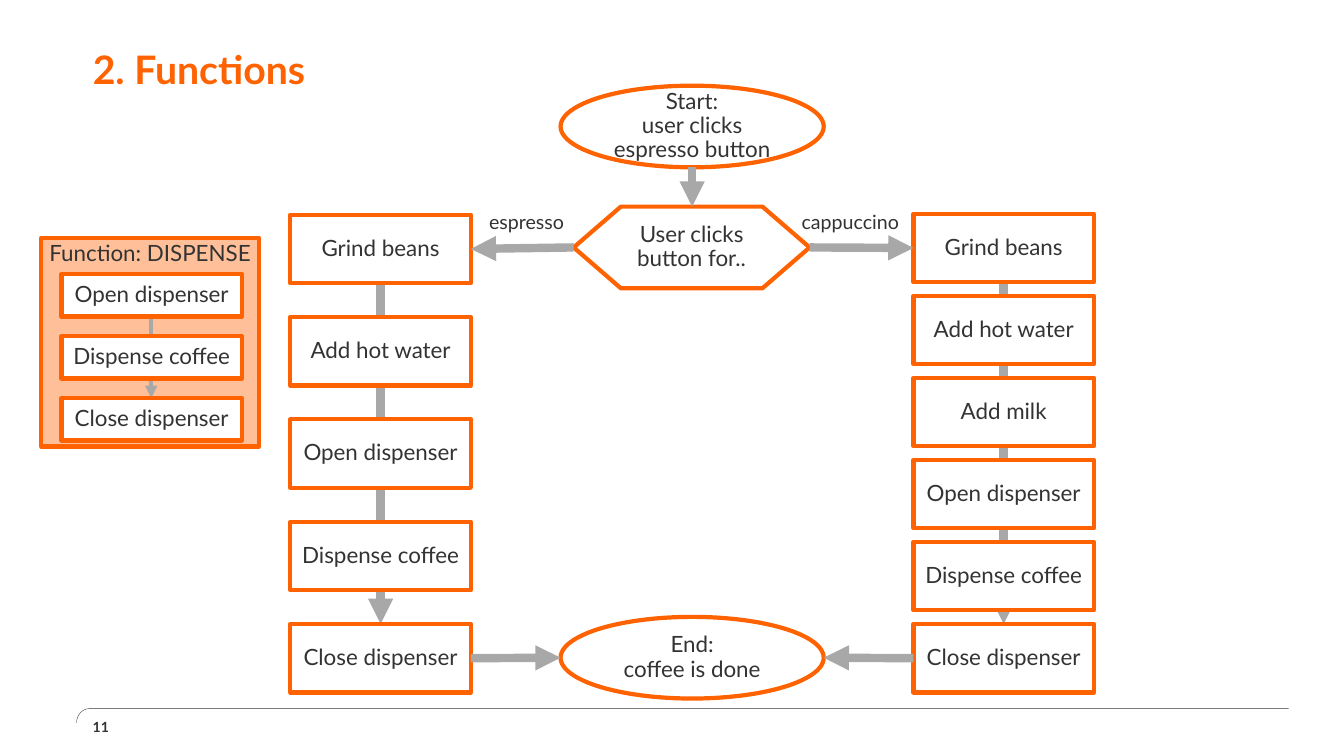
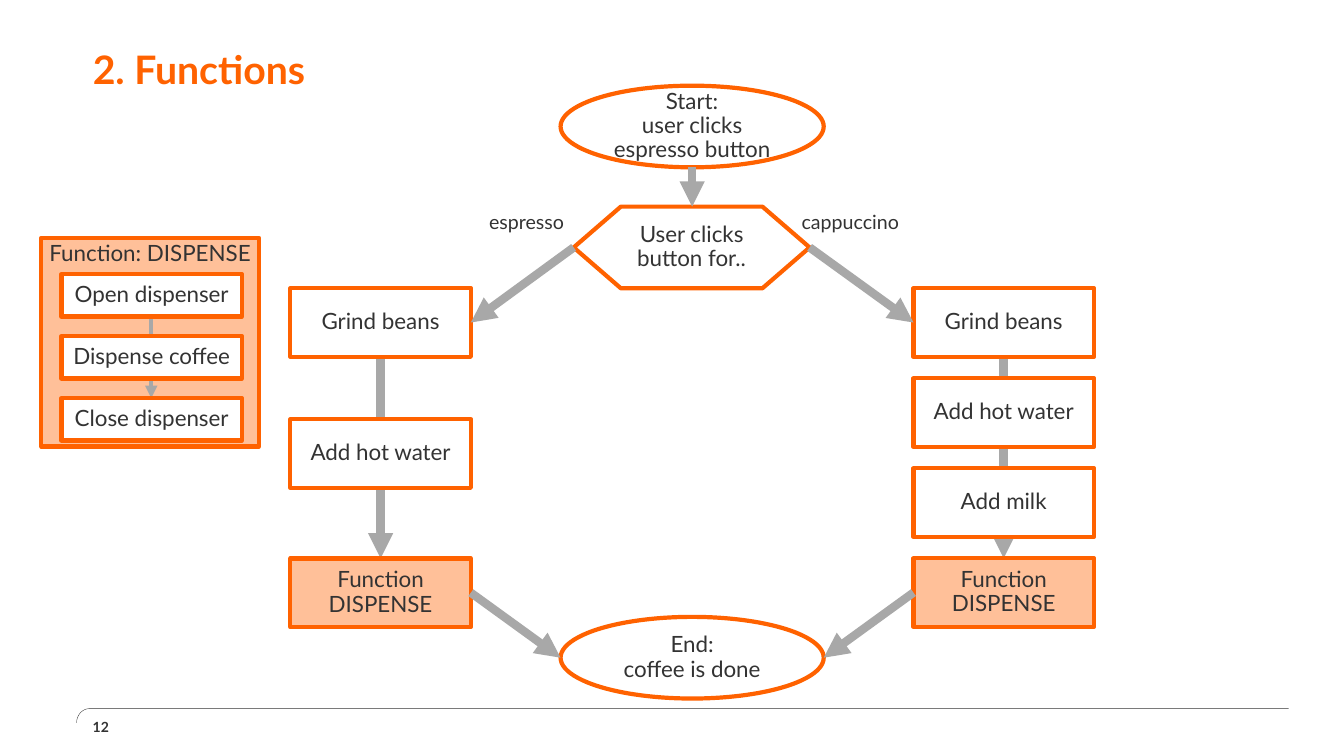
import math

from lxml import etree
from pptx import Presentation
from pptx.dml.color import RGBColor
from pptx.enum.shapes import MSO_CONNECTOR, MSO_SHAPE
from pptx.enum.text import MSO_ANCHOR, PP_ALIGN
from pptx.oxml.ns import qn
from pptx.util import Inches, Pt

RECTANGLE = MSO_SHAPE.RECTANGLE
ELLIPSE = MSO_SHAPE.OVAL
PREPARATION = MSO_SHAPE.FLOWCHART_PREPARATION
STRAIGHT = MSO_CONNECTOR.STRAIGHT
TOP, MIDDLE = MSO_ANCHOR.TOP, MSO_ANCHOR.MIDDLE
CENTER = PP_ALIGN.CENTER

FONT = "Lato"
COLORS = {
    "orange": "FF6200",
    "peach": "FFC099",
    "white": "FFFFFF",
    "text": "333333",
    "arrow": "A8A8A8",
}
RGB = {name: RGBColor.from_string(value) for name, value in COLORS.items()}

# Flowchart geometry, in inches
BOX_WIDTH, BOX_HEIGHT = 1.79, 0.68
LEFT_COLUMN, RIGHT_COLUMN = 2.88, 9.06
OVAL_LEFT, OVAL_WIDTH, OVAL_HEIGHT = 5.56, 2.61, 0.81
START_TOP, END_TOP = 0.85, 6.12
CHOICE_LEFT, CHOICE_TOP, CHOICE_WIDTH = 5.69, 2.05, 2.34
CENTER_X = OVAL_LEFT + OVAL_WIDTH / 2
CHOICE_Y = CHOICE_TOP + OVAL_HEIGHT / 2
END_Y = END_TOP + OVAL_HEIGHT / 2

DISPENSE_STEPS = ["Open dispenser", "Dispense coffee", "Close dispenser"]
CALL = "Function DISPENSE"

# Each slide: its number, then the steps and box tops of both branches
SLIDES = [
    {
        "number": "11",
        "espresso": (["Grind beans", "Add hot water"] + DISPENSE_STEPS,
                     [2.13 + 1.015 * row for row in range(5)]),
        "cappuccino": (["Grind beans", "Add hot water", "Add milk"] + DISPENSE_STEPS,
                       [2.12 + 0.814 * row for row in range(6)]),
    },
    {
        "number": "12",
        "espresso": (["Grind beans", "Add hot water", CALL], [2.86, 4.16, 5.54]),
        "cappuccino": (["Grind beans", "Add hot water", "Add milk", CALL],
                       [2.86 + 0.893 * row for row in range(4)]),
    },
]


def add_box(shapes, kind, left, top, width, height, text, fill="white", anchor=MIDDLE):
    shape = shapes.add_shape(kind, Inches(left), Inches(top), Inches(width), Inches(height))
    shape.shadow.inherit = False
    shape.fill.solid()
    shape.fill.fore_color.rgb = RGB[fill]
    shape.line.color.rgb = RGB["orange"]
    shape.line.width = Pt(3)
    frame = shape.text_frame
    frame.word_wrap = True
    frame.vertical_anchor = anchor
    frame.margin_left = frame.margin_right = Inches(0.04)
    frame.margin_top = frame.margin_bottom = Inches(0.04)
    frame.text = text
    for paragraph in frame.paragraphs:
        paragraph.alignment = CENTER
        paragraph.line_spacing = 0.9
        paragraph.font.name = FONT
        paragraph.font.size = Pt(16)
        paragraph.font.color.rgb = RGB["text"]


def add_arrow(shapes, start_x, start_y, end_x, end_y, width=6):
    arrow = shapes.add_connector(
        STRAIGHT, Inches(start_x), Inches(start_y), Inches(end_x), Inches(end_y))
    arrow.line.color.rgb = RGB["arrow"]
    arrow.line.width = Pt(width)
    etree.SubElement(arrow.line._get_or_add_ln(), qn("a:tailEnd"), type="triangle")
    etree.SubElement(arrow.element.spPr, qn("a:effectLst"))


presentation = Presentation()
presentation.slide_width = Inches(13.33)
presentation.slide_height = Inches(7.5)
title_only = presentation.slide_layouts[5]

for content in SLIDES:
    slide = presentation.slides.add_slide(title_only)
    shapes = slide.shapes

    # Footer rule with a rounded left end
    curve = [(0.89 - 0.13 * math.sin(math.radians(angle)),
              7.17 - 0.14 * math.cos(math.radians(angle))) for angle in range(0, 91, 10)]
    builder = shapes.build_freeform(Inches(12.78), Inches(7.03), scale=1.0)
    builder.add_line_segments([(Inches(x), Inches(y)) for x, y in curve], close=False)
    rule = builder.convert_to_shape()
    rule.shadow.inherit = False
    rule.fill.background()
    rule.line.color.rgb = RGB["text"]
    rule.line.width = Pt(0.25)

    # Title
    title = shapes.title
    title.left, title.top = Inches(0.92), Inches(0.26)
    title.width, title.height = Inches(11.46), Inches(0.93)
    frame = title.text_frame
    frame.text = "2. Functions"
    frame.vertical_anchor = MIDDLE
    frame.margin_left = frame.margin_right = frame.margin_top = frame.margin_bottom = 0
    paragraph = frame.paragraphs[0]
    paragraph.alignment = PP_ALIGN.LEFT
    paragraph.line_spacing = Pt(28)
    paragraph.font.name = FONT
    paragraph.font.size = Pt(28)
    paragraph.font.bold = True
    paragraph.font.color.rgb = RGB["orange"]

    # Branch columns, each with its arrow behind the boxes
    for name, left in (("espresso", LEFT_COLUMN), ("cappuccino", RIGHT_COLUMN)):
        steps, tops = content[name]
        middle = left + BOX_WIDTH / 2
        add_arrow(shapes, middle, tops[0] + BOX_HEIGHT, middle, tops[-1])
        for step, top in zip(steps, tops):
            add_box(shapes, RECTANGLE, left, top, BOX_WIDTH, BOX_HEIGHT, step,
                    "peach" if step == CALL else "white")

    # Start, choice and end
    add_box(shapes, ELLIPSE, OVAL_LEFT, START_TOP, OVAL_WIDTH, OVAL_HEIGHT,
            "Start:\nuser clicks espresso button")
    add_box(shapes, PREPARATION, CHOICE_LEFT, CHOICE_TOP, CHOICE_WIDTH, OVAL_HEIGHT,
            "User clicks button for..")
    add_box(shapes, ELLIPSE, OVAL_LEFT, END_TOP, OVAL_WIDTH, OVAL_HEIGHT,
            "End:\vcoffee is done")
    add_arrow(shapes, CENTER_X, START_TOP + OVAL_HEIGHT, CENTER_X, CHOICE_TOP)

    # Arrows into and out of the branches
    for name, inner_x, choice_x, end_x in (
            ("espresso", LEFT_COLUMN + BOX_WIDTH, CHOICE_LEFT, OVAL_LEFT),
            ("cappuccino", RIGHT_COLUMN, CHOICE_LEFT + CHOICE_WIDTH, OVAL_LEFT + OVAL_WIDTH)):
        tops = content[name][1]
        add_arrow(shapes, choice_x, CHOICE_Y, inner_x, tops[0] + BOX_HEIGHT / 2)
        add_arrow(shapes, inner_x, tops[-1] + BOX_HEIGHT / 2, end_x, END_Y)

    # Branch labels and slide number
    for text, left, top, width, height, size, bold, margin, anchor in (
            ("espresso", 4.81, 2.04, 0.85, 0.32, 14, False, 0.04, TOP),
            ("cappuccino", 7.91, 2.04, 1.08, 0.32, 14, False, 0.04, TOP),
            (content["number"], 0.92, 7.11, 0.54, 0.21, 10, True, 0, MIDDLE)):
        label = shapes.add_textbox(Inches(left), Inches(top), Inches(width), Inches(height))
        frame = label.text_frame
        frame.word_wrap = bold
        frame.vertical_anchor = anchor
        frame.margin_left = frame.margin_right = Inches(margin)
        frame.margin_top = frame.margin_bottom = Inches(margin)
        frame.text = text
        paragraph = frame.paragraphs[0]
        paragraph.font.name = FONT
        paragraph.font.size = Pt(size)
        paragraph.font.bold = bold
        paragraph.font.color.rgb = RGB["text"]

    # Function definition panel
    panel = shapes.add_group_shape().shapes
    add_box(panel, RECTANGLE, 0.41, 2.36, 2.16, 2.07, "Function: DISPENSE", "peach", TOP)
    add_arrow(panel, 1.5, 3.13, 1.5, 3.95, width=3)
    for row, step in enumerate(DISPENSE_STEPS):
        add_box(panel, RECTANGLE, 0.61, 2.72 + 0.615 * row, BOX_WIDTH, 0.42, step)

presentation.save("out.pptx")
